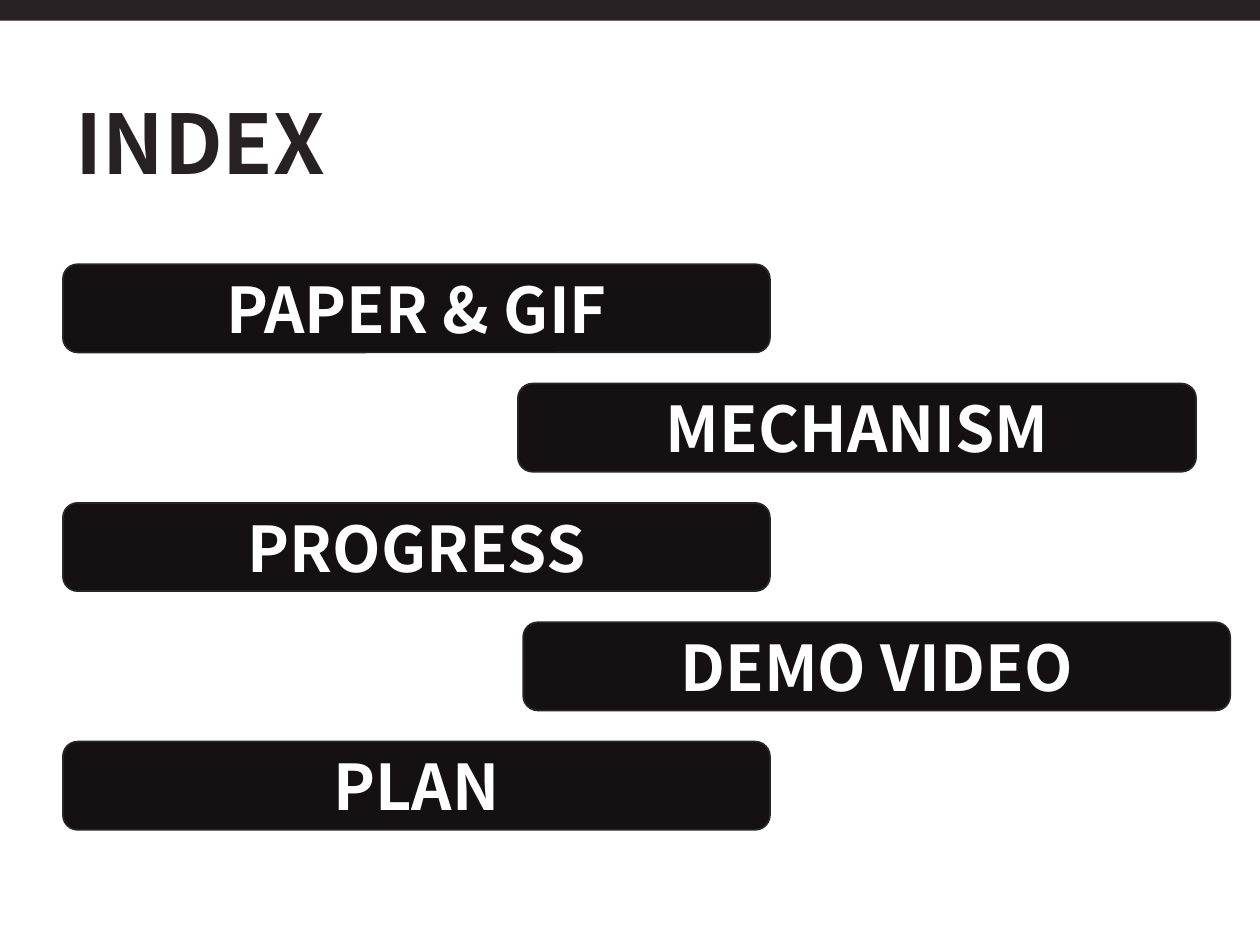
from pptx import Presentation
from pptx import util as u
from pptx.dml.color import RGBColor
from pptx.enum import shapes, text

FONT = "Noto Sans CJK KR"
ROWS = [
    ("PAPER & GIF", 36, 404),
    ("MECHANISM", 296, 387.5),
    ("PROGRESS", 36, 404),
    ("DEMO VIDEO", 299, 404),
    ("PLAN", 36, 404),
]


def paint(target, color):
    """Give a fill, as found on a shape or a line, one solid colour."""
    target.fill.solid()
    target.fill.fore_color.rgb = RGBColor.from_string(color)


def write(frame, words, size, color, align):
    """Put one bold line of words in a text frame."""
    para = frame.paragraphs[0]
    para.alignment = align
    run = para.add_run()
    run.text = words
    look = {"name": FONT, "size": u.Pt(size), "bold": True}
    for key, value in look.items():
        setattr(run.font, key, value)
    run.font.color.rgb = RGBColor.from_string(color)


def add_box(slide, kind, box, fill):
    """Add a filled shape without outline or shadow."""
    shape = slide.shapes.add_shape(kind, *map(u.Pt, box))
    shape.shadow.inherit = False
    paint(shape, fill)
    shape.line.fill.background()
    return shape


def add_title(slide, words, box):
    """Add the slide heading."""
    frame = slide.shapes.add_textbox(*map(u.Pt, box)).text_frame
    frame.word_wrap = True
    frame.auto_size = text.MSO_AUTO_SIZE.SHAPE_TO_FIT_TEXT
    write(frame, words, 47, "272123", text.PP_ALIGN.LEFT)


def add_item(slide, words, box):
    """Add one rounded index bar with its label."""
    bar = add_box(slide, shapes.MSO_SHAPE.ROUNDED_RECTANGLE, box, "151112")
    paint(bar.line, "262626")
    bar.line.width = u.Pt(1)
    bar.text_frame.word_wrap = True
    bar.text_frame.vertical_anchor = text.MSO_ANCHOR.MIDDLE
    write(bar.text_frame, words, 36, "FFFFFF", text.PP_ALIGN.CENTER)


def main():
    """Build the index slide and save it."""
    deck = Presentation()
    deck.slide_width, deck.slide_height = u.Pt(720), u.Pt(540)
    slide = deck.slides.add_slide(deck.slide_layouts[6])
    add_title(slide, "INDEX", (36, 49, 263, 64))
    add_box(slide, shapes.MSO_SHAPE.RECTANGLE, (0, -2.4, 720, 14.2), "272123")
    for row, (words, left, width) in enumerate(ROWS):
        add_item(slide, words, (left, 151 + 68.2 * row, width, 50.4))
    deck.save("out.pptx")


if __name__ == "__main__":
    main()
